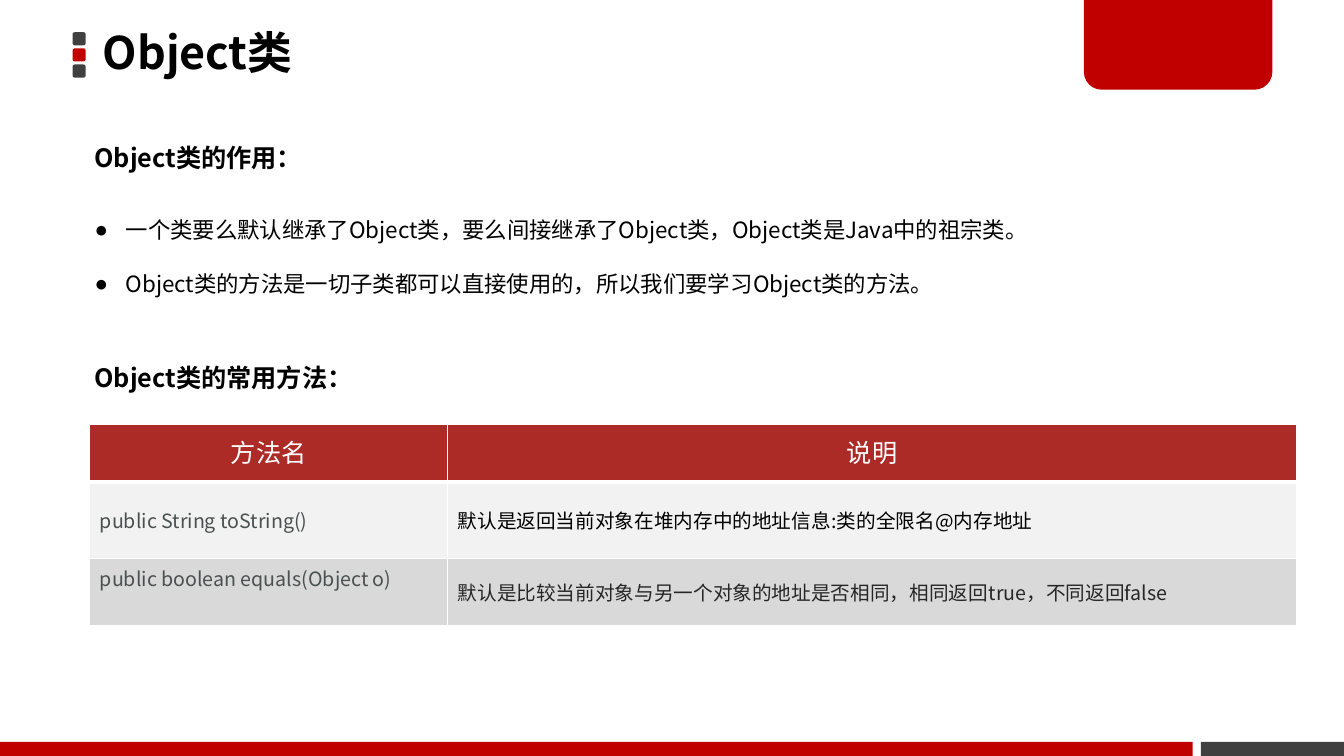
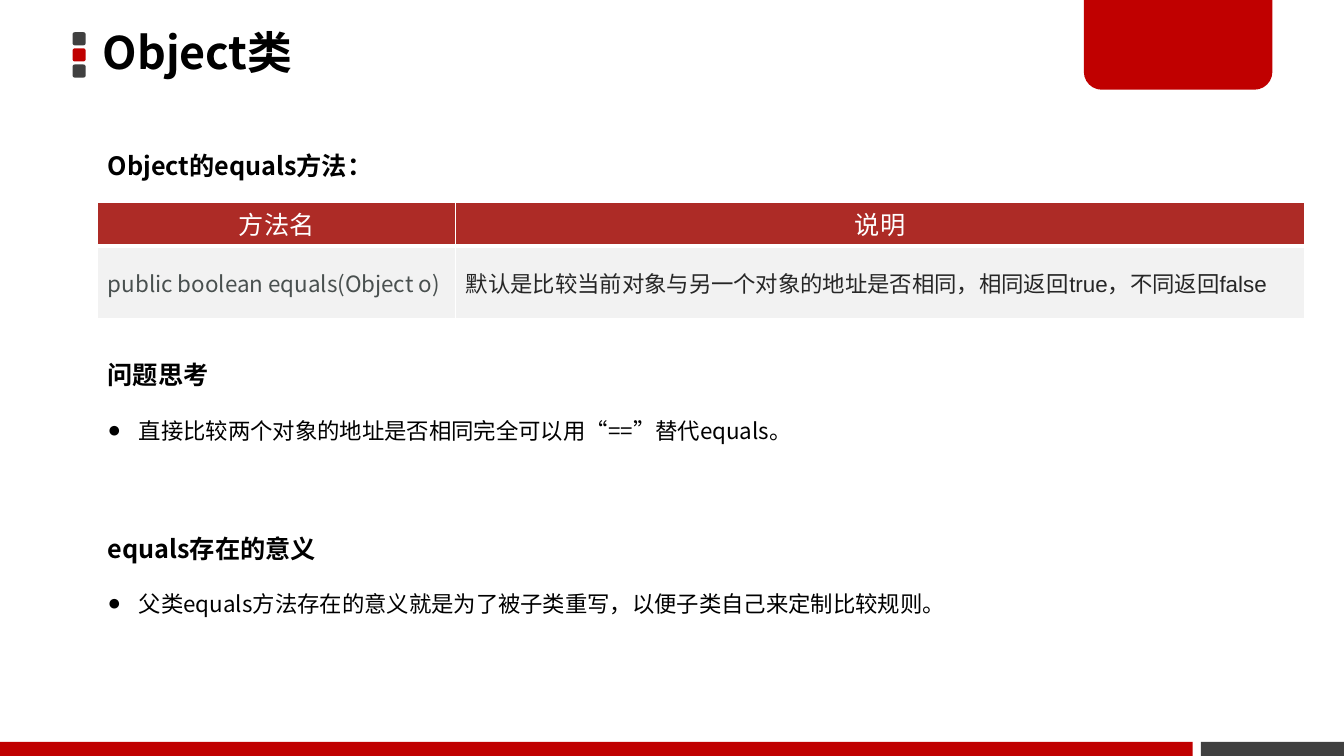
import lxml.etree
import pptx
import pptx.dml.color
import pptx.enum.shapes
import pptx.enum.text
import pptx.oxml.ns
import pptx.util

Inches, Pt = pptx.util.Inches, pptx.util.Pt
SHAPES = pptx.enum.shapes.MSO_SHAPE
ANCHOR = pptx.enum.text.MSO_ANCHOR
ALIGN = pptx.enum.text.PP_ALIGN
qn = pptx.oxml.ns.qn

COLORS = {
    "red": "C00000", "dark": "404040", "header": "AD2B26", "white": "FFFFFF",
    "light": "F2F2F2", "grey": "D9D9D9", "black": "000000",
    "method": "49504F", "description": "262626",
}
JP, SC, ARIAL = "Noto Sans CJK JP", "Noto Sans CJK SC", "Arial"

# Font formats
TITLE = {"name": SC, "size": Pt(32), "bold": True}
HEADING = {"name": JP, "size": Pt(18), "bold": True}
BODY = {"name": JP, "size": Pt(16), "bold": False}
TABLE_HEAD = {"name": ARIAL, "size": Pt(18), "bold": False}
SMALL_CELL = {"name": JP, "size": Pt(14), "bold": False}
METHOD_CELL = {"name": SC, "size": Pt(16), "bold": False}
ARIAL_CELL = {"name": ARIAL, "size": Pt(16), "bold": False}

# Paragraph formats
SINGLE = {"line_spacing": 1.0}
TIGHT = {"line_spacing": 0.9}
LOOSE = {"line_spacing": 1.5}
DOUBLE = {"line_spacing": 2.0}
SEPARATED = {"line_spacing": 2.0, "space_before": Pt(42)}
CENTERED = {"line_spacing": Pt(24), "alignment": ALIGN.CENTER}

COLUMN_WIDTHS = (3.55, 8.42)
TABLE_HEADER = ("方法名", "说明")
EQUALS_METHOD = "public boolean equals(Object o)"
EQUALS_DESCRIPTION = "默认是比较当前对象与另一个对象的地址是否相同，相同返回true，不同返回false"


def rgb(color):
    return pptx.dml.color.RGBColor.from_string(COLORS[color])


def apply_format(target, values):
    for attribute, value in values.items():
        setattr(target, attribute, value)


def add_block(slide, kind, box, color, adjustments=()):
    block = slide.shapes.add_shape(kind, *map(Inches, box))
    block.shadow.inherit = False
    block.fill.solid()
    block.fill.fore_color.rgb = rgb(color)
    block.line.fill.background()
    for index, value in enumerate(adjustments):
        block.adjustments[index] = value


def write_paragraph(paragraph, text, font_format, layout, color="black"):
    apply_format(paragraph, layout)
    run = paragraph.add_run()
    run.text = text
    apply_format(run.font, font_format)
    run.font.color.rgb = rgb(color)
    east_asian = lxml.etree.Element(qn("a:ea"), typeface=SC)
    run.font._rPr.find(qn("a:latin")).addnext(east_asian)


def add_bullet(paragraph):
    properties = paragraph._p.get_or_add_pPr()
    properties.set("marL", str(Inches(0.31)))
    properties.set("indent", str(Inches(-0.31)))
    lxml.etree.SubElement(properties, qn("a:buFont"), typeface=ARIAL)
    lxml.etree.SubElement(properties, qn("a:buChar"), char="●")


def add_text(slide, box, paragraphs):
    """Each paragraph is (text, font format, layout); body text is bulleted."""
    frame = slide.shapes.add_textbox(*map(Inches, box)).text_frame
    frame.word_wrap = True
    for index, (text, font_format, layout) in enumerate(paragraphs):
        paragraph = frame.add_paragraph() if index else frame.paragraphs[0]
        write_paragraph(paragraph, text, font_format, layout)
        if font_format is BODY:
            add_bullet(paragraph)


def add_borders(cell, top, bottom):
    properties = cell._tc.get_or_add_tcPr()
    widths = {"a:lnL": 1, "a:lnR": 1, "a:lnT": top, "a:lnB": bottom}
    for index, (side, width) in enumerate(widths.items()):
        border = lxml.etree.Element(qn(side), w=str(Pt(width)))
        fill = lxml.etree.SubElement(border, qn("a:solidFill"))
        lxml.etree.SubElement(fill, qn("a:srgbClr"), val=COLORS["white"])
        properties.insert(index, border)


def add_method_table(slide, left, top, heights, body_rows):
    """Each body row holds (text, font format, colour) per column."""
    header = [(text, TABLE_HEAD, "white") for text in TABLE_HEADER]
    rows = [header, *body_rows]
    table = slide.shapes.add_table(
        len(rows), len(COLUMN_WIDTHS), Inches(left), Inches(top),
        Inches(sum(COLUMN_WIDTHS)), Inches(sum(heights))).table
    table.horz_banding = False
    for column, width in zip(table.columns, COLUMN_WIDTHS):
        column.width = Inches(width)
    for row, height in zip(table.rows, heights):
        row.height = Inches(height)

    for row_index, row in enumerate(rows):
        fill = ("header", "light", "grey")[row_index]
        for column_index, (text, font_format, color) in enumerate(row):
            cell = table.cell(row_index, column_index)
            cell.vertical_anchor = ANCHOR.MIDDLE
            cell.fill.solid()
            cell.fill.fore_color.rgb = rgb(fill)
            add_borders(cell, 3 if row_index == 1 else 1,
                        3 if row_index == 0 else 1)
            write_paragraph(cell.text_frame.paragraphs[0], text, font_format,
                            SINGLE if row_index else CENTERED, color)
    return table


def add_base_slide(deck):
    slide = deck.slides.add_slide(deck.slide_layouts[6])
    # Title marker
    for index, color in enumerate(("dark", "red", "dark")):
        add_block(slide, SHAPES.ROUNDED_RECTANGLE,
                  (0.72, 0.32 + 0.16 * index, 0.13, 0.13), color)
    # Corner tab and footer bands
    add_block(slide, SHAPES.ROUND_2_SAME_RECTANGLE, (10.75, 0, 1.87, 0.89),
              "red", (0, 0.2))
    add_block(slide, SHAPES.RECTANGLE, (0, 7.36, 11.83, 0.14), "red")
    add_block(slide, SHAPES.RECTANGLE, (11.91, 7.36, 1.42, 0.14), "dark")
    add_text(slide, (0.92, 0.26, 9.59, 0.57), [("Object类", TITLE, TIGHT)])
    return slide


def build_overview(deck):
    slide = add_base_slide(deck)
    add_text(slide, (0.84, 1.21, 6.67, 0.51),
             [("Object类的作用：", HEADING, LOOSE)])
    add_text(slide, (0.84, 1.83, 12.07, 1.11), [
        ("一个类要么默认继承了Object类，要么间接继承了Object类，Object类是Java中的祖宗类。",
         BODY, DOUBLE),
        ("Object类的方法是一切子类都可以直接使用的，所以我们要学习Object类的方法。",
         BODY, DOUBLE),
    ])
    add_text(slide, (0.84, 3.55, 6.67, 0.4),
             [("Object类的常用方法：", HEADING, SINGLE)])
    methods = add_method_table(slide, 0.89, 4.21, (0.57, 0.76, 0.67), [
        [("public String toString()", SMALL_CELL, "method"),
         ("默认是返回当前对象在堆内存中的地址信息:类的全限名@内存地址", SMALL_CELL, "black")],
        [(EQUALS_METHOD, SMALL_CELL, "method"),
         (EQUALS_DESCRIPTION, SMALL_CELL, "description")],
    ])
    methods.cell(2, 0).vertical_anchor = ANCHOR.TOP


def build_equals(deck):
    slide = add_base_slide(deck)
    add_text(slide, (0.97, 1.44, 6.67, 0.4),
             [("Object的equals方法：", HEADING, SINGLE)])
    add_method_table(slide, 0.97, 2.01, (0.41, 0.72), [
        [(EQUALS_METHOD, METHOD_CELL, "method"),
         (EQUALS_DESCRIPTION, ARIAL_CELL, "description")],
    ])
    add_text(slide, (0.97, 3.22, 10.03, 2.92), [
        ("问题思考", HEADING, DOUBLE),
        ("直接比较两个对象的地址是否相同完全可以用“==”替代equals。", BODY, DOUBLE),
        ("equals存在的意义", HEADING, SEPARATED),
        ("父类equals方法存在的意义就是为了被子类重写，以便子类自己来定制比较规则。",
         BODY, DOUBLE),
    ])


def main():
    deck = pptx.Presentation()
    deck.slide_width, deck.slide_height = Inches(13.33), Inches(7.5)
    build_overview(deck)
    build_equals(deck)
    deck.save("out.pptx")


if __name__ == "__main__":
    main()
